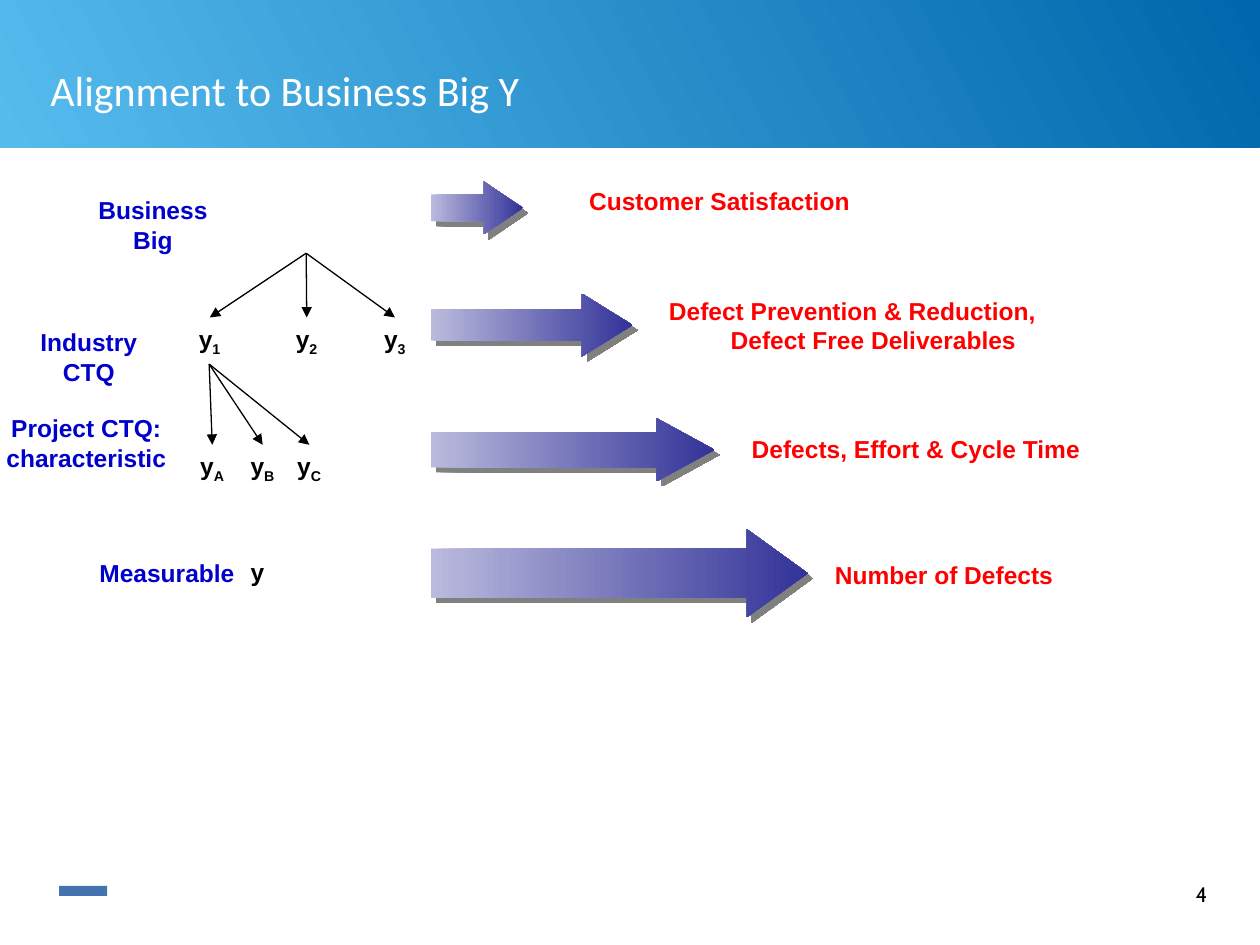
from dataclasses import dataclass

from lxml import etree
from pptx import Presentation
from pptx.dml.color import RGBColor
from pptx.enum.shapes import MSO_CONNECTOR, MSO_SHAPE
from pptx.enum.text import MSO_ANCHOR, PP_ALIGN
from pptx.oxml.ns import qn
from pptx.util import Inches, Pt

RECTANGLE = MSO_SHAPE.RECTANGLE
ROUNDED = MSO_SHAPE.ROUNDED_RECTANGLE
RIGHT_ARROW = MSO_SHAPE.RIGHT_ARROW
STRAIGHT = MSO_CONNECTOR.STRAIGHT
LEFT, CENTER, RIGHT = PP_ALIGN.LEFT, PP_ALIGN.CENTER, PP_ALIGN.RIGHT
TOP, MIDDLE = MSO_ANCHOR.TOP, MSO_ANCHOR.MIDDLE


@dataclass(frozen=True)
class Theme:
    header_dark: str = "0067AC"
    header_light: str = "56BBED"
    arrow_light: str = "BABADD"
    arrow_dark: str = "333399"
    shadow: str = "808080"
    label: str = "0000CC"
    outcome: str = "FF0000"
    ink: str = "000000"
    white: str = "FFFFFF"
    mark: str = "4473B1"
    body_font: str = "Arial"
    title_font: str = "Calibri"
    number_font: str = "Cabin"
    body_size: int = 14
    title_size: int = 24
    number_size: int = 12


@dataclass(frozen=True)
class Box:
    left: float
    top: float
    width: float
    height: float

    def lengths(self) -> tuple:
        return tuple(Inches(v) for v in (self.left, self.top, self.width, self.height))


@dataclass(frozen=True)
class Label:
    text: str
    box: Box
    wrap: bool = False


@dataclass(frozen=True)
class Level:
    """One row: a block arrow and the outcome it leads to."""
    arrow: Box
    shaft: float
    head: float
    outcome: str
    outcome_box: Box


@dataclass(frozen=True)
class Branch:
    """A parent point fanning out to a row of subscripted y nodes."""
    origin: tuple[float, float]
    node_top: float
    node_width: float
    nodes: tuple[tuple[str, float], ...]


THEME = Theme()
ARROW_LEFT = 3.42
NODE_HEIGHT = 0.37

LABELS = (
    Label("Business Big", Box(0.5, 1.5, 1.43, 0.34)),
    Label("Industry CTQ", Box(-0.01, 2.55, 1.43, 0.34)),
    Label("Project CTQ: characteristic", Box(-0.05, 3.23, 1.47, 0.57), True),
    Label("Measurable", Box(0.69, 4.38, 1.27, 0.34)),
)
LEVELS = (
    Level(Box(ARROW_LEFT, 1.44, 0.73, 0.42), 0.5, 0.737,
          "Customer Satisfaction", Box(4.55, 1.41, 2.65, 0.37)),
    Level(Box(ARROW_LEFT, 2.33, 1.6, 0.5), 0.5, 0.802,
          "Defect Prevention & Reduction, Defect Free Deliverables",
          Box(5.17, 2.27, 3.33, 0.63)),
    Level(Box(ARROW_LEFT, 3.32, 2.25, 0.5), 0.556, 0.915,
          "Defects, Effort & Cycle Time", Box(5.84, 3.38, 3.33, 0.37)),
    Level(Box(ARROW_LEFT, 4.2, 2.99, 0.7), 0.556, 0.69,
          "Number of Defects", Box(6.5, 4.38, 3.33, 0.37)),
)
BRANCHES = (
    Branch((2.43, 2.01), 2.52, 0.37, (("1", 1.48), ("2", 2.25), ("3", 2.95))),
    Branch((1.66, 2.89), 3.53, 0.39, (("A", 1.49), ("B", 1.89), ("C", 2.26))),
)


def style(paragraph, color: str, size: int = THEME.body_size,
          name: str = THEME.body_font, bold: bool = True, align=LEFT) -> None:
    paragraph.alignment = align
    font = paragraph.font
    font.name, font.size, font.bold = name, Pt(size), bold
    font.color.rgb = RGBColor.from_string(color)


def add_text(slide, box: Box, text: str, wrap: bool = False, anchor=TOP):
    """Add a text box and return its paragraph for styling."""
    frame = slide.shapes.add_textbox(*box.lengths()).text_frame
    frame.word_wrap = wrap
    frame.vertical_anchor = anchor
    paragraph = frame.paragraphs[0]
    paragraph.add_run().text = text
    return paragraph


def add_plain_shape(slide, kind, box: Box):
    shape = slide.shapes.add_shape(kind, *box.lengths())
    shape.shadow.inherit = False
    shape.line.fill.background()
    return shape


def fill_gradient(shape, start: str, end: str, angle: float) -> None:
    shape.fill.gradient()
    shape.fill.gradient_angle = angle
    for stop, color, position in zip(shape.fill.gradient_stops, (start, end), (0, 1)):
        stop.color.rgb = RGBColor.from_string(color)
        stop.position = position


def add_header(slide) -> None:
    band = add_plain_shape(slide, RECTANGLE, Box(0, 0, 10, 1.17))
    fill_gradient(band, THEME.header_dark, THEME.header_light, 208)
    slide.shapes._spTree.insert(2, band._element)  # behind the title
    title = slide.shapes.title
    title.left, title.top, title.width, title.height = Box(0.3, 0.43, 6.4, 0.57).lengths()
    title.text_frame.text = "Alignment to Business Big Y"
    title.text_frame.vertical_anchor = MIDDLE
    style(title.text_frame.paragraphs[0], THEME.white, THEME.title_size,
          THEME.title_font, bold=False)


def add_level(slide, level: Level) -> None:
    arrow = add_plain_shape(slide, RIGHT_ARROW, level.arrow)
    arrow.adjustments[0], arrow.adjustments[1] = level.shaft, level.head
    fill_gradient(arrow, THEME.arrow_light, THEME.arrow_dark, 0)
    effects = arrow._element.spPr.find(qn("a:effectLst"))
    shadow = etree.SubElement(effects, qn("a:outerShdw"), dist=str(Pt(4.2)),
                              dir="2700000", algn="ctr", rotWithShape="0")
    etree.SubElement(shadow, qn("a:srgbClr"), val=THEME.shadow)

    outcome = add_plain_shape(slide, ROUNDED, level.outcome_box)
    outcome.fill.background()
    frame = outcome.text_frame
    frame.text = level.outcome
    frame.word_wrap = True
    frame.vertical_anchor = TOP
    paragraph = frame.paragraphs[0]
    style(paragraph, THEME.outcome)
    paragraph.space_before = Pt(8.8)
    properties = paragraph._p.get_or_add_pPr()
    properties.set("marL", str(Inches(0.5)))
    properties.set("indent", str(Inches(-0.49)))


def add_branch(slide, branch: Branch) -> None:
    for subscript, left in branch.nodes:
        box = Box(left, branch.node_top, branch.node_width, NODE_HEIGHT)
        paragraph = add_text(slide, box, "y")
        run = paragraph.add_run()
        run.text = subscript
        run._r.get_or_add_rPr().set("baseline", "-25000")
        style(paragraph, THEME.ink)

        target = (left + branch.node_width / 2, branch.node_top)
        ends = [Inches(v) for v in branch.origin + target]
        connector = slide.shapes.add_connector(STRAIGHT, *ends)
        connector.line.width = Pt(0.75)
        connector.line.color.rgb = RGBColor.from_string(THEME.ink)
        etree.SubElement(connector.line._get_or_add_ln(), qn("a:tailEnd"), type="triangle")
        etree.SubElement(connector._element.spPr, qn("a:effectLst"))


def main() -> None:
    presentation = Presentation()
    presentation.slide_width, presentation.slide_height = Inches(10), Inches(7.5)
    slide = presentation.slides.add_slide(presentation.slide_layouts[5])
    add_header(slide)
    for label in LABELS:
        style(add_text(slide, label.box, label.text, label.wrap), THEME.label, align=CENTER)
    for branch in BRANCHES:
        add_branch(slide, branch)
    style(add_text(slide, Box(1.89, 4.37, 0.31, 0.34), "y"), THEME.ink)
    for level in LEVELS:
        add_level(slide, level)
    mark = add_plain_shape(slide, RECTANGLE, Box(0.47, 7.03, 0.38, 0.08))
    mark.fill.solid()
    mark.fill.fore_color.rgb = RGBColor.from_string(THEME.mark)
    number = add_text(slide, Box(9, 6.9, 0.68, 0.39), "4", wrap=True, anchor=MIDDLE)
    style(number, THEME.ink, THEME.number_size, THEME.number_font, bold=False, align=RIGHT)
    presentation.save("out.pptx")


if __name__ == "__main__":
    main()
